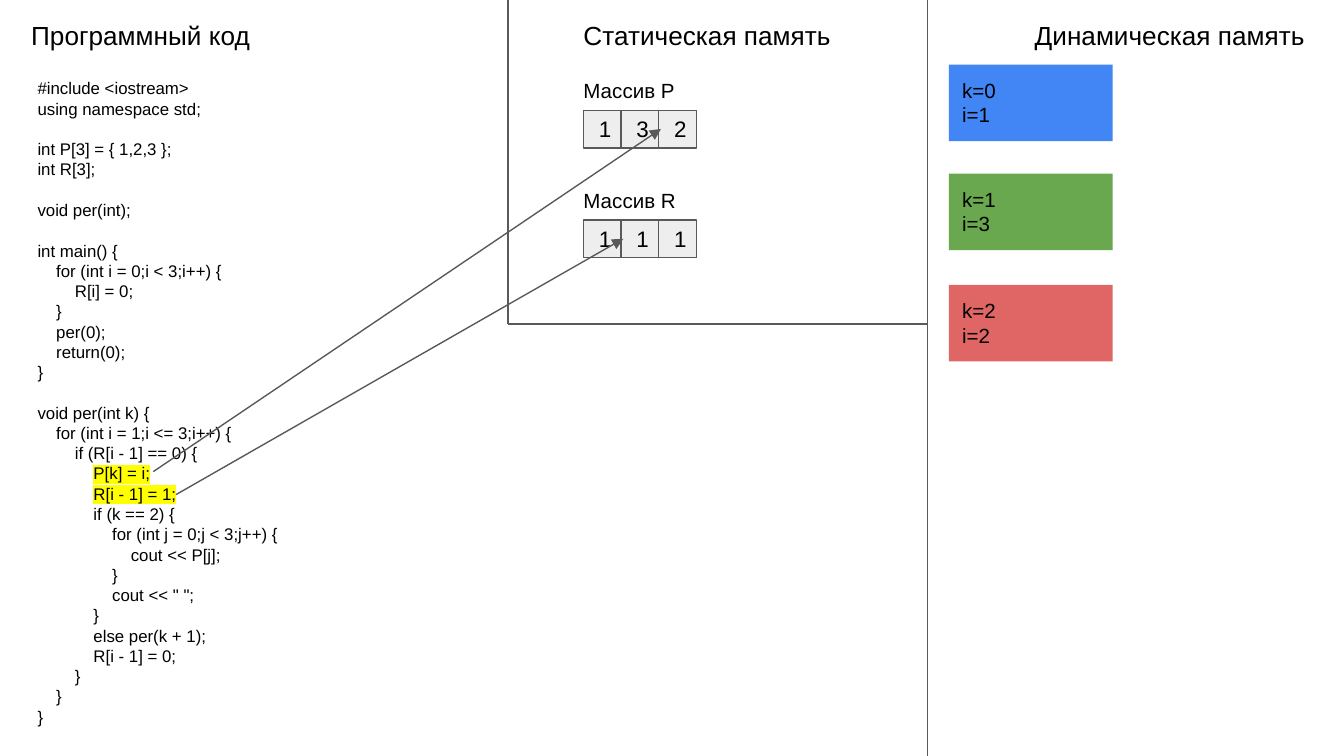
"""Build a slide that traces a permutation program through static and dynamic memory."""
from pptx import Presentation
from pptx import util as u
from pptx.dml import color
from pptx.enum import shapes, text
from pptx.oxml import ns
from lxml import etree

Pt = u.Pt
HUES = {"ink": "000000", "line": "595959", "cell": "EEEEEE", "mark": "FFFF00",
        "blue": "4285F4", "green": "6AA84F", "red": "E06666"}
FRAME = {"word_wrap": True, "auto_size": text.MSO_AUTO_SIZE.NONE,
         "vertical_anchor": text.MSO_ANCHOR.TOP, "margin_left": Pt(7.2),
         "margin_right": Pt(7.2), "margin_top": Pt(7.2), "margin_bottom": Pt(7.2)}
CODE = """#include <iostream>
using namespace std;

int P[3] = { 1,2,3 };
int R[3];

void per(int);

int main() {
    for (int i = 0;i < 3;i++) {
        R[i] = 0;
    }
    per(0);
    return(0);
}

void per(int k) {
    for (int i = 1;i <= 3;i++) {
        if (R[i - 1] == 0) {
            P[k] = i;
            R[i - 1] = 1;
            if (k == 2) {
                for (int j = 0;j < 3;j++) {
                    cout << P[j];
                }
                cout << " ";
            }
            else per(k + 1);
            R[i - 1] = 0;
        }
    }
}"""
MARKED = ("P[k] = i;", "R[i - 1] = 1;")


def write(shape, words, size, pitch):
    frame = shape.text_frame
    for key, val in FRAME.items():
        setattr(frame, key, val)
    para, gap = frame.paragraphs[0], 0
    for row in words.split("\n"):
        bare = row.lstrip()
        if not bare:
            gap = pitch
            continue
        if para.runs:
            para = frame.add_paragraph()
        form = {"alignment": text.PP_ALIGN.LEFT, "line_spacing": Pt(pitch),
                "space_before": Pt(gap), "space_after": Pt(0)}
        for key, val in form.items():
            setattr(para, key, val)
        para._p.get_or_add_pPr().set("marL", str(Pt(2.5 * (len(row) - len(bare)))))
        run = para.add_run()
        run.text = bare
        for key, val in {"name": "Arial", "size": Pt(size), "bold": False}.items():
            setattr(run.font, key, val)
        run.font.color.rgb = color.RGBColor.from_string(HUES["ink"])
        if bare in MARKED:
            mark = etree.Element(ns.qn("a:highlight"))
            etree.SubElement(mark, ns.qn("a:srgbClr"), val=HUES["mark"])
            run.font._element.find(ns.qn("a:latin")).addprevious(mark)
        gap = 0


def draw(left, top, right, base):
    line = page.shapes.add_connector(shapes.MSO_CONNECTOR.STRAIGHT,
                                     Pt(left), Pt(top), Pt(right), Pt(base))
    line.line.width = Pt(0.75)
    line.line.color.rgb = color.RGBColor.from_string(HUES["line"])
    etree.SubElement(line._element.spPr, ns.qn("a:effectLst"))
    return line


deck = Presentation()
deck.slide_width, deck.slide_height = Pt(720), Pt(405)
page = deck.slides.add_slide(deck.slide_layouts[5])

title = page.shapes.title
for key, val in {"left": 9.5, "top": 3, "width": 133, "height": 31.7}.items():
    setattr(title, key, Pt(val))
write(title, "Программный код", 14, 16.8)

code = page.shapes.add_textbox(Pt(13), Pt(34.6), Pt(243.4), Pt(363.6))
write(code, CODE, 9, 10.85)

for words, left, wide in (("Статическая память", 305.5, 176.4),
                          ("Динамическая память", 547.2, 169.2)):
    head = page.shapes.add_textbox(Pt(left), Pt(3), Pt(wide), Pt(31.7))
    write(head, words, 14, 16.8)

for ends in ((496.8, 0, 496.8, 405), (496.8, 173.5, 272.2, 173.5),
             (272.2, 173.5, 272.2, 0)):
    draw(*ends)

digits = {}
for row, (name, vals) in enumerate((("P", "132"), ("R", "111"))):
    drop = 58.8 * row
    label = page.shapes.add_textbox(Pt(305.5), Pt(34.6 + drop), Pt(88), Pt(28))
    write(label, f"Массив {name}", 11, 13.1)
    for col, val in enumerate(vals):
        left = 312.5 + 20.2 * col
        cell = page.shapes.add_shape(shapes.MSO_SHAPE.RECTANGLE, Pt(left),
                                     Pt(59.1 + drop), Pt(20.2), Pt(20.2))
        cell.shadow.inherit = False
        cell.fill.solid()
        cell.fill.fore_color.rgb = color.RGBColor.from_string(HUES["cell"])
        cell.line.color.rgb = color.RGBColor.from_string(HUES["line"])
        cell.line.width = Pt(0.75)
    for col, val in enumerate(vals):
        digit = page.shapes.add_textbox(Pt(313.7 + 20.2 * col), Pt(54.7 + drop),
                                        Pt(17.3), Pt(28.8))
        write(digit, val, 12, 14.3)
        digits[name, col] = digit

for hue, top, words in (("blue", 34.6, "k=0\ni=1"), ("green", 93.1, "k=1\ni=3"),
                        ("red", 152.7, "k=2\ni=2")):
    call = page.shapes.add_shape(shapes.MSO_SHAPE.RECTANGLE, Pt(508.3), Pt(top),
                                 Pt(87.8), Pt(41))
    call.shadow.inherit = False
    call.fill.solid()
    call.fill.fore_color.rgb = color.RGBColor.from_string(HUES[hue])
    call.line.fill.background()
    write(call, words, 11, 13.1)

for left, top, goal in ((82.1, 252.7, ("P", 2)), (94.3, 265, ("R", 1))):
    arrow = draw(left, top, left, top)
    arrow.end_connect(digits[goal], 1)
    etree.SubElement(arrow.line._get_or_add_ln(), ns.qn("a:tailEnd"), type="triangle")

deck.save("out.pptx")
